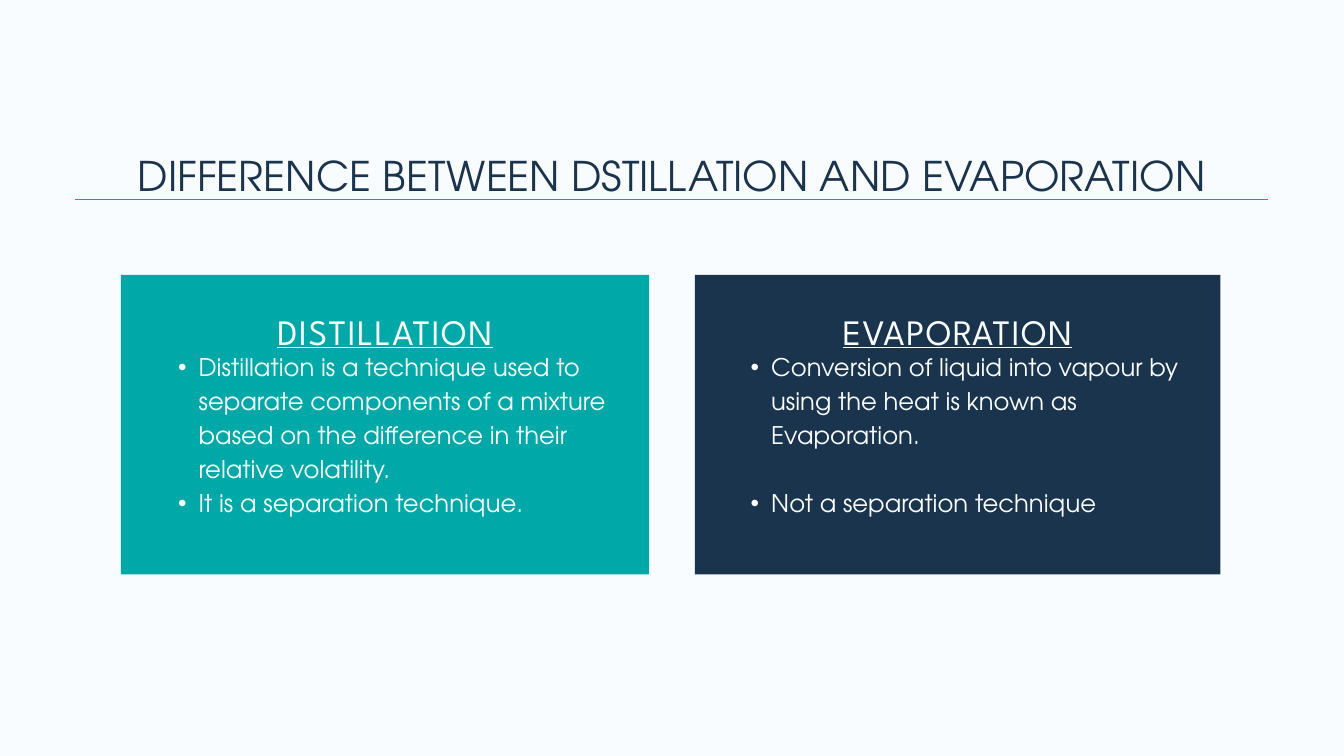
from dataclasses import dataclass

from lxml import etree
from pptx import Presentation
from pptx.dml.color import RGBColor
from pptx.enum.shapes import MSO_CONNECTOR, MSO_SHAPE
from pptx.enum.text import MSO_ANCHOR, MSO_AUTO_SIZE, PP_ALIGN
from pptx.oxml.ns import qn
from pptx.util import Pt

RECTANGLE = MSO_SHAPE.RECTANGLE
STRAIGHT = MSO_CONNECTOR.STRAIGHT
TOP = MSO_ANCHOR.TOP
NO_FIT = MSO_AUTO_SIZE.NONE
LEFT, CENTER = PP_ALIGN.LEFT, PP_ALIGN.CENTER


@dataclass(frozen=True)
class Theme:
    """Colours, fonts and type sizes of the deck."""
    paper: RGBColor = RGBColor(0xF9, 0xFC, 0xFF)
    teal: RGBColor = RGBColor(0x00, 0xA8, 0xA8)
    navy: RGBColor = RGBColor(0x1B, 0x34, 0x4D)
    body_font: str = "TeX Gyre Adventor"
    heading_font: str = "League Spartan"
    title_size: float = 43.8
    heading_size: float = 38.3
    body_size: float = 26
    title_leading: float = 52.6
    heading_leading: float = 49.8
    body_leading: float = 36.4


THEME = Theme()


def prepare_frame(shape):
    """Give a shape a wrapping text frame without margins and return it."""
    frame = shape.text_frame
    frame.word_wrap = True
    frame.auto_size = NO_FIT
    frame.vertical_anchor = TOP
    frame.margin_left = frame.margin_right = 0
    frame.margin_top = frame.margin_bottom = 0
    return frame


def write_text(para, text, *, size, leading, color=THEME.paper, font=THEME.body_font,
               align=LEFT, before=0, underline=False, tracking=0, bullet=False):
    """Write formatted text into a paragraph."""
    para.alignment = align
    para.line_spacing = Pt(leading)
    para.space_before = Pt(before)
    span = para.add_run()
    span.text = text
    span.font.name = font
    span.font.size = Pt(size)
    span.font.color.rgb = color
    span.font.underline = underline
    if tracking:
        span.font._element.set("spc", str(round(tracking * 100)))
    if bullet:
        properties = para._p.get_or_add_pPr()
        properties.set("marL", str(Pt(44)))
        properties.set("indent", str(-Pt(22)))
        etree.SubElement(properties, qn("a:buFont")).set("typeface", "Arial")
        etree.SubElement(properties, qn("a:buChar")).set("char", "•")


def add_title(page, text, box):
    """Place the title in its box with a thin rule under it."""
    left, top, width, height = box
    title = page.shapes.title
    title.left, title.top, title.width, title.height = map(Pt, box)
    write_text(prepare_frame(title).paragraphs[0], text, size=THEME.title_size,
               leading=THEME.title_leading, color=THEME.navy, align=CENTER)
    bottom = top + height
    rule = page.shapes.add_connector(STRAIGHT, Pt(left), Pt(bottom), Pt(left + width), Pt(bottom))
    rule.line.color.rgb = THEME.teal
    rule.line.width = Pt(0.75)
    etree.SubElement(rule._element.spPr, qn("a:effectLst"))


def add_panel(page, box, fill, heading, points, gap=0):
    """Place a filled panel with a centred heading and a bulleted list."""
    left, top, width, height = box
    panel = page.shapes.add_shape(RECTANGLE, *map(Pt, box))
    panel.shadow.inherit = False
    panel.fill.solid()
    panel.fill.fore_color.rgb = fill
    panel.line.fill.background()

    text_width = 487.4
    text_left = left + (width - text_width) / 2
    heading_box = page.shapes.add_textbox(Pt(text_left), Pt(top + 33.1), Pt(text_width), Pt(49))
    write_text(prepare_frame(heading_box).paragraphs[0], heading, size=THEME.heading_size,
               leading=THEME.heading_leading, font=THEME.heading_font, align=CENTER,
               underline=True, tracking=1.5)

    list_box = page.shapes.add_textbox(Pt(text_left), Pt(top + 77.8), Pt(text_width), Pt(178.6))
    frame = prepare_frame(list_box)
    for index, point in enumerate(points):
        para = frame.add_paragraph() if index else frame.paragraphs[0]
        write_text(para, point, size=THEME.body_size, leading=THEME.body_leading,
                   before=gap if index else 0, bullet=True)


def add_comparison_page(deck):
    """Add the page that compares the two processes side by side."""
    page = deck.slides.add_slide(deck.slide_layouts[5])
    page.background.fill.solid()
    page.background.fill.fore_color.rgb = THEME.paper
    add_title(page, "DIFFERENCE BETWEEN DSTILLATION AND EVAPORATION", (80.6, 161.3, 1278, 52.2))
    add_panel(page, (129.6, 294.5, 566, 321), THEME.teal, "DISTILLATION", [
        "Distillation is a technique used to separate components of a mixture "
        "based on the difference in their relative volatility.",
        "It is a separation technique.",
    ])
    add_panel(page, (744.5, 294.5, 563, 321), THEME.navy, "EVAPORATION", [
        "Conversion of liquid into vapour by using the heat is known as Evaporation.",
        "Not a separation technique",
    ], gap=THEME.body_leading)


def main():
    """Build and save the deck."""
    deck = Presentation()
    deck.slide_width, deck.slide_height = Pt(1440), Pt(810)
    add_comparison_page(deck)
    deck.save("out.pptx")


if __name__ == "__main__":
    main()
